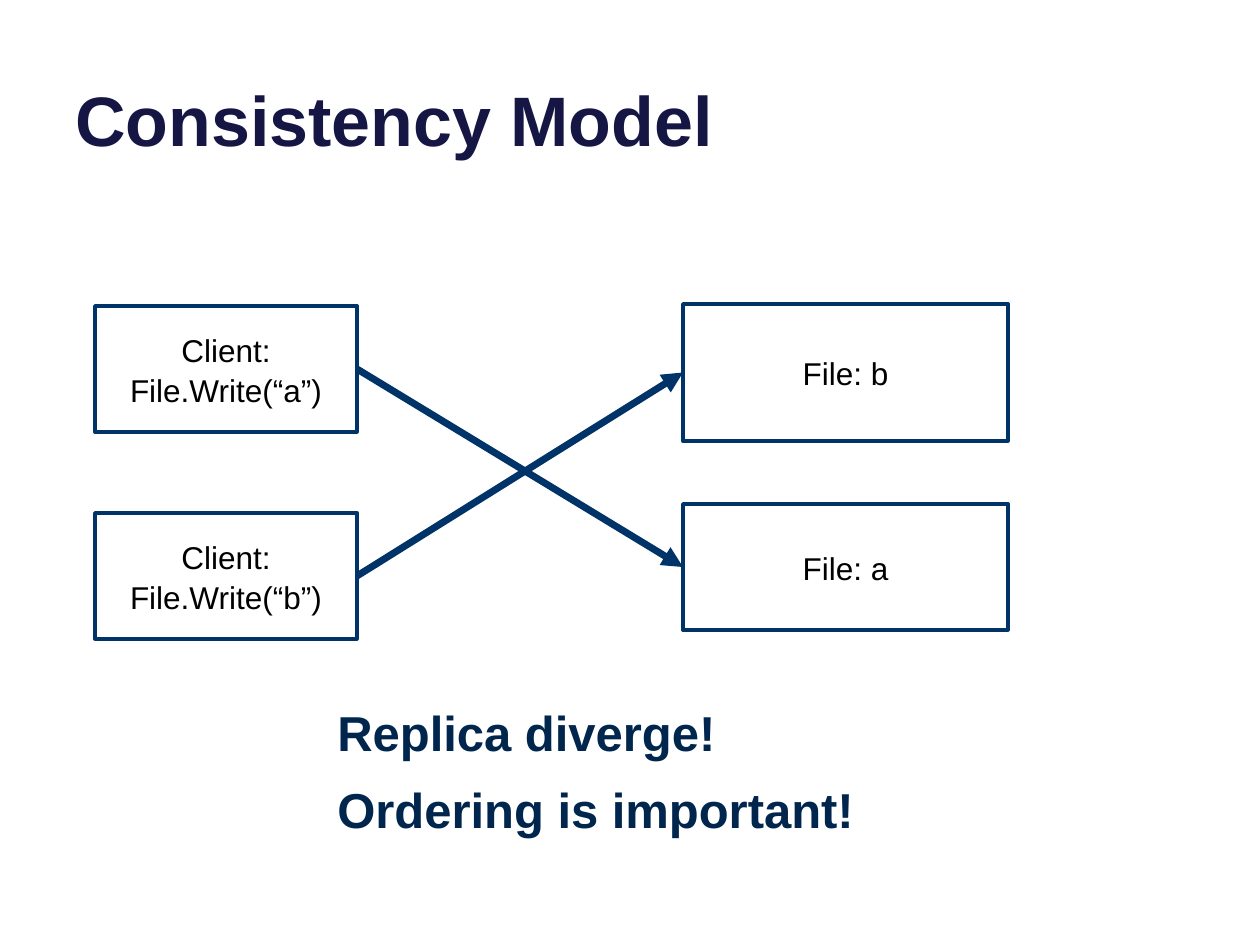
from lxml.etree import SubElement
from pptx import Presentation
from pptx.dml.color import RGBColor
from pptx.enum.shapes import MSO_CONNECTOR, MSO_SHAPE
from pptx.enum.text import MSO_ANCHOR, PP_ALIGN
from pptx.oxml.ns import qn
from pptx.util import Pt

EMU_PER_PX = 914400 / 126
FONT = "Arial"
LINE_SPACING = 1.05
LEFT_SIDE, RIGHT_SIDE = 1, 3

TITLE_NAVY = RGBColor(0x16, 0x16, 0x45)
NOTE_NAVY = RGBColor(0x00, 0x26, 0x4D)
OUTLINE_BLUE = RGBColor(0x00, 0x33, 0x67)
WHITE = RGBColor(0xFF, 0xFF, 0xFF)
BLACK = RGBColor(0x00, 0x00, 0x00)


def px(*lengths):
    return [round(length * EMU_PER_PX) for length in lengths]


def write_lines(frame, lines, size, color, bold=False, align=PP_ALIGN.LEFT, gap=0):
    """Write one paragraph per line, with gap points between them."""
    frame.word_wrap = True
    for index, line in enumerate(lines):
        paragraph = frame.add_paragraph() if index else frame.paragraphs[0]
        paragraph.text = line
        paragraph.alignment = align
        paragraph.line_spacing = LINE_SPACING
        if index:
            paragraph.space_before = Pt(gap)
        font = paragraph.font
        font.name, font.size, font.bold = FONT, Pt(size), bold
        font.color.rgb = color


def add_heading(slide, box, lines, size, color, anchor, gap=0):
    frame = slide.shapes.add_textbox(*px(*box)).text_frame
    frame.vertical_anchor = anchor
    write_lines(frame, lines, size, color, bold=True, gap=gap)


def add_node(slide, box, *lines):
    node = slide.shapes.add_shape(MSO_SHAPE.RECTANGLE, *px(*box))
    node.shadow.inherit = False
    node.fill.solid()
    node.fill.fore_color.rgb = WHITE
    node.line.color.rgb = OUTLINE_BLUE
    node.line.width = Pt(2)
    node.text_frame.vertical_anchor = MSO_ANCHOR.MIDDLE
    write_lines(node.text_frame, lines, 18, BLACK, align=PP_ALIGN.CENTER)
    return node


def add_write_arrow(slide, client, replica):
    arrow = slide.shapes.add_connector(MSO_CONNECTOR.STRAIGHT, 0, 0, 0, 0)
    arrow.begin_connect(client, RIGHT_SIDE)
    arrow.end_connect(replica, LEFT_SIDE)
    arrow.line.color.rgb = OUTLINE_BLUE
    arrow.line.width = Pt(4)
    SubElement(arrow.line._get_or_add_ln(), qn("a:tailEnd"), type="triangle")
    SubElement(arrow._element.spPr, qn("a:effectLst"))


def main():
    presentation = Presentation()
    presentation.slide_width, presentation.slide_height = px(1260, 945)
    slide = presentation.slides.add_slide(presentation.slide_layouts[6])

    add_heading(slide, (63, -47, 1134, 214), ["Consistency Model"],
                40, TITLE_NAVY, MSO_ANCHOR.BOTTOM)

    replica_a = add_node(slide, (683, 504, 325, 126), "File: a")
    replica_b = add_node(slide, (683, 304, 325, 137), "File: b")
    client_a = add_node(slide, (95, 306, 262, 126), "Client:", "File.Write(“a”)")
    client_b = add_node(slide, (95, 513, 262, 126), "Client:", "File.Write(“b”)")
    add_write_arrow(slide, client_a, replica_a)
    add_write_arrow(slide, client_b, replica_b)

    add_heading(slide, (325, 693, 567, 136),
                ["Replica diverge!", "Ordering is important!"],
                28, NOTE_NAVY, MSO_ANCHOR.TOP, gap=9)

    presentation.save("out.pptx")


if __name__ == "__main__":
    main()
